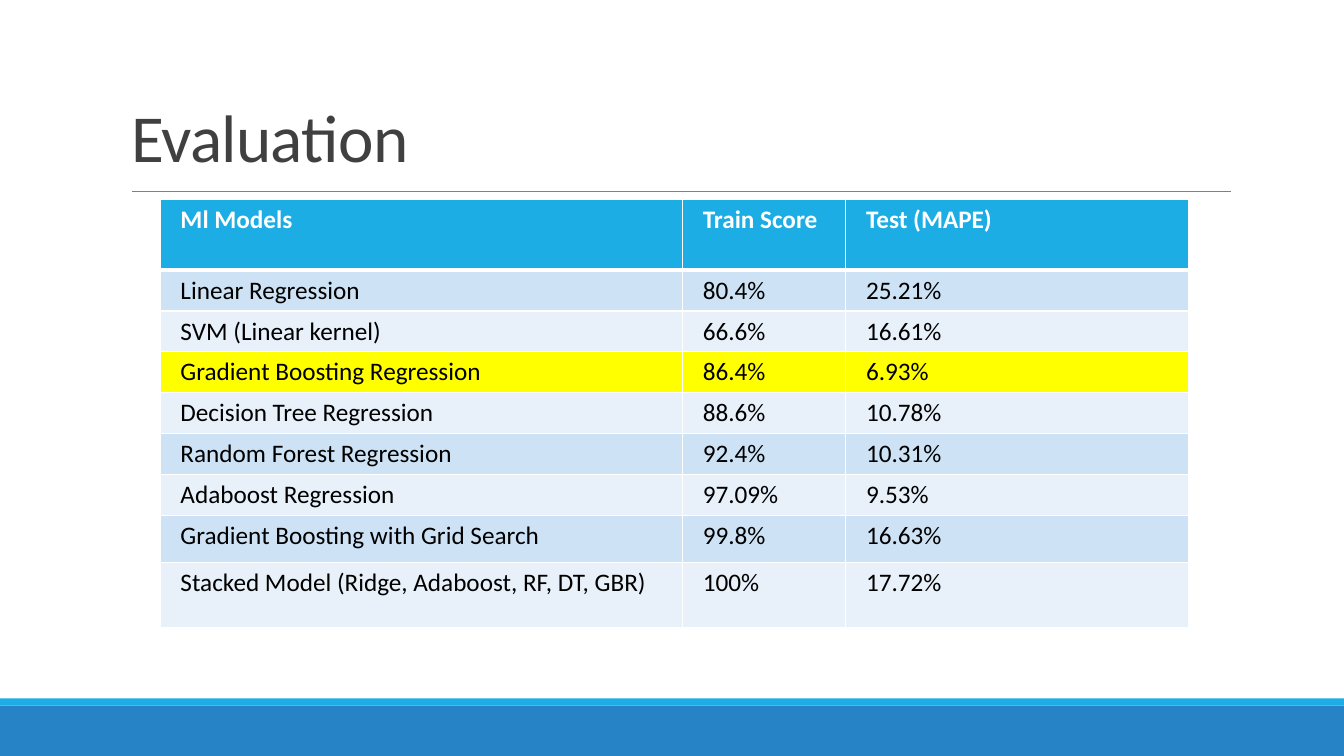
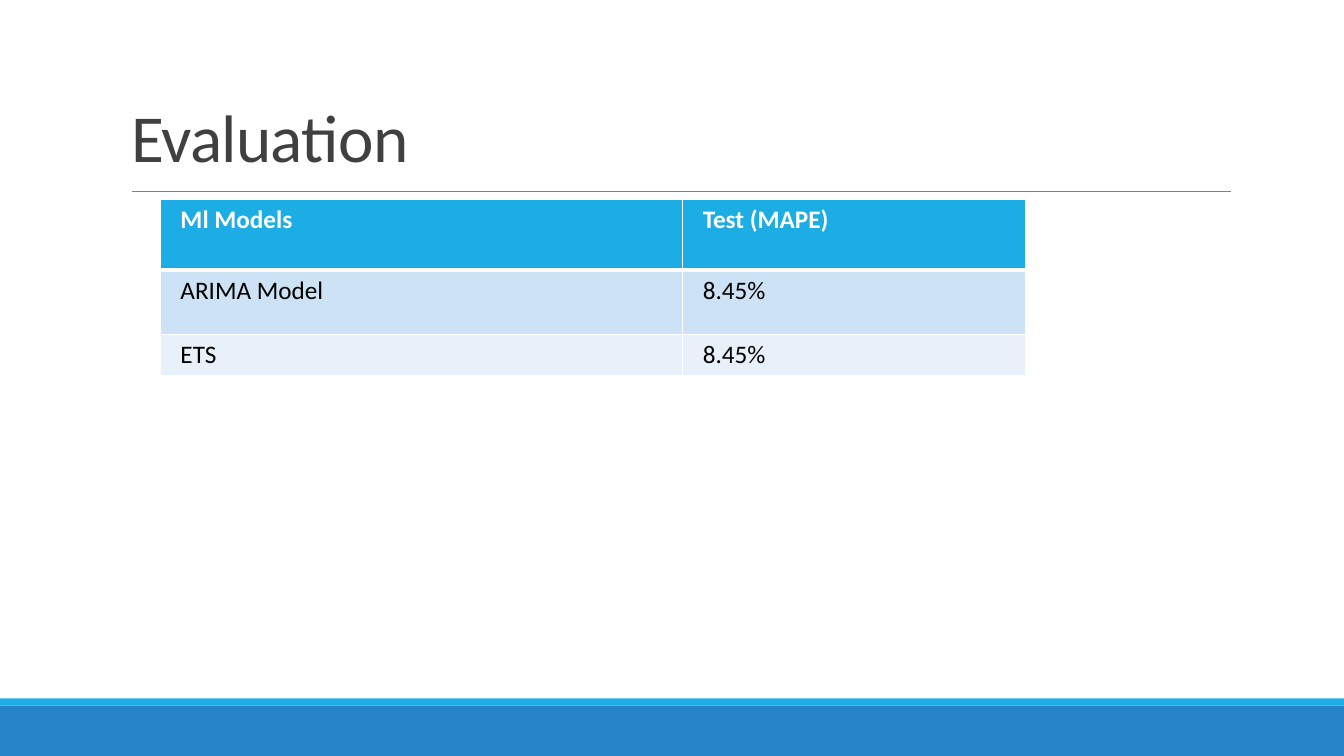
"""Build two slides that compare the scores of forecasting models."""
from lxml import etree
from pptx import Presentation
from pptx import util as u
from pptx.dml.color import RGBColor
from pptx.enum import shapes, text
from pptx.oxml import ns

COLORS = {
    "band": "2683C6", "accent": "1CADE4", "rule": "808080", "title": "404040",
    "white": "FFFFFF", "black": "000000", "odd": "CDE3F5", "even": "E8F1FA",
    "highlight": "FFFF00",
}
FONT = "Calibri"
WIDTH, HEIGHT = 13.33, 7.5
MODEL_WIDTH, TRAIN_WIDTH, TEST_WIDTH = 5.18, 1.62, 3.4
ROW, MEDIUM_ROW, TALL_ROW, HEADER_ROW = 0.4, 0.47, 0.64, 0.7

SCORES = [
    ("Ml Models", "Train Score", "Test (MAPE)"),
    ("Linear Regression", "80.4%", "25.21%"),
    ("SVM (Linear kernel)", "66.6%", "16.61%"),
    ("Gradient Boosting Regression", "86.4%", "6.93%"),
    ("Decision Tree Regression", "88.6%", "10.78%"),
    ("Random Forest Regression", "92.4%", "10.31%"),
    ("Adaboost Regression", "97.09%", "9.53%"),
    ("Gradient Boosting with Grid Search", "99.8%", "16.63%"),
    ("Stacked Model (Ridge, Adaboost, RF, DT, GBR)", "100%", "17.72%"),
]
TIME_SERIES_SCORES = [
    ("Ml Models", "Test (MAPE)"),
    ("ARIMA Model", "8.45%"),
    ("ETS", "8.45%"),
]


def color(name):
    return RGBColor.from_string(COLORS[name])


class Deck:
    """Holds the style and the current slide."""

    def __init__(self):
        self.presentation = Presentation()
        self.presentation.slide_width = u.Inches(WIDTH)
        self.presentation.slide_height = u.Inches(HEIGHT)
        self.slide = None

    def add_slide(self, title):
        layout = self.presentation.slide_layouts.get_by_name("Title Only")
        self.slide = self.presentation.slides.add_slide(layout)
        self.band(7, 0.5, "band")
        self.band(6.93, 0.07, "accent")
        self.rule(1.31, 12.21, 1.9)
        self.title(title)

    def band(self, top, height, fill):
        shape = self.slide.shapes.add_shape(
            shapes.MSO_SHAPE.RECTANGLE, 0, u.Inches(top), u.Inches(WIDTH), u.Inches(height))
        shape.shadow.inherit = False
        shape.fill.solid()
        shape.fill.fore_color.rgb = color(fill)
        shape.line.fill.background()

    def rule(self, left, right, top):
        connector = self.slide.shapes.add_connector(
            shapes.MSO_CONNECTOR.STRAIGHT,
            u.Inches(left), u.Inches(top), u.Inches(right), u.Inches(top))
        connector.line.color.rgb = color("rule")
        connector.line.width = u.Pt(0.5)
        etree.SubElement(connector._element.spPr, ns.qn("a:effectLst"))

    def style_run(self, run, size, font_color, bold=False):
        run.font.name = FONT
        run.font.size = u.Pt(size)
        run.font.bold = bold
        run.font.color.rgb = color(font_color)

    def title(self, wording):
        title = self.slide.shapes.title
        title.left, title.top = u.Inches(1.2), u.Inches(0.31)
        title.width, title.height = u.Inches(11), u.Inches(1.49)
        frame = title.text_frame
        frame.text = wording
        frame.word_wrap = True
        frame.auto_size = text.MSO_AUTO_SIZE.NONE
        frame.vertical_anchor = text.MSO_ANCHOR.BOTTOM
        paragraph = frame.paragraphs[0]
        paragraph.alignment = text.PP_ALIGN.LEFT
        paragraph.line_spacing = 0.85
        run = paragraph.runs[0]
        self.style_run(run, 48, "title")
        run._r.get_or_add_rPr().set("spc", "-50")

    def border(self, cell, side, points):
        line = etree.SubElement(
            cell._tc.get_or_add_tcPr(), ns.qn(f"a:ln{side}"), w=str(u.Pt(points)))
        fill = etree.SubElement(line, ns.qn("a:solidFill"))
        etree.SubElement(fill, ns.qn("a:srgbClr"), val=COLORS["white"])

    def cell(self, cell, wording, row, fill):
        header = row == 0
        cell.margin_left = cell.margin_right = u.Inches(0.2)
        cell.margin_top = cell.margin_bottom = u.Inches(0.05)
        widths = {"L": 1, "R": 1, "T": 3 if row == 1 else 1, "B": 3 if header else 1}
        for side, points in widths.items():
            self.border(cell, side, points)
        cell.fill.solid()
        cell.fill.fore_color.rgb = color(fill)
        cell.text_frame.text = wording
        run = cell.text_frame.paragraphs[0].runs[0]
        self.style_run(run, 18, "white" if header else "black", header)

    def table(self, rows, widths, heights, highlighted=None):
        table = self.slide.shapes.add_table(
            len(rows), len(widths), u.Inches(1.59), u.Inches(1.98),
            u.Inches(sum(widths)), u.Inches(sum(heights))).table
        for column, width in zip(table.columns, widths):
            column.width = u.Inches(width)
        for index, (values, height) in enumerate(zip(rows, heights)):
            table.rows[index].height = u.Inches(height)
            fill = "odd" if index % 2 else "even"
            if index == 0:
                fill = "accent"
            elif index == highlighted:
                fill = "highlight"
            for column, wording in enumerate(values):
                self.cell(table.cell(index, column), wording, index, fill)


def main():
    deck = Deck()
    deck.add_slide("Evaluation")
    deck.table(SCORES, [MODEL_WIDTH, TRAIN_WIDTH, TEST_WIDTH],
               [HEADER_ROW] + [ROW] * 6 + [MEDIUM_ROW, TALL_ROW], highlighted=3)
    deck.add_slide("Evaluation")
    deck.table(TIME_SERIES_SCORES, [MODEL_WIDTH, TEST_WIDTH], [HEADER_ROW, TALL_ROW, ROW])
    deck.presentation.save("out.pptx")


if __name__ == "__main__":
    main()
